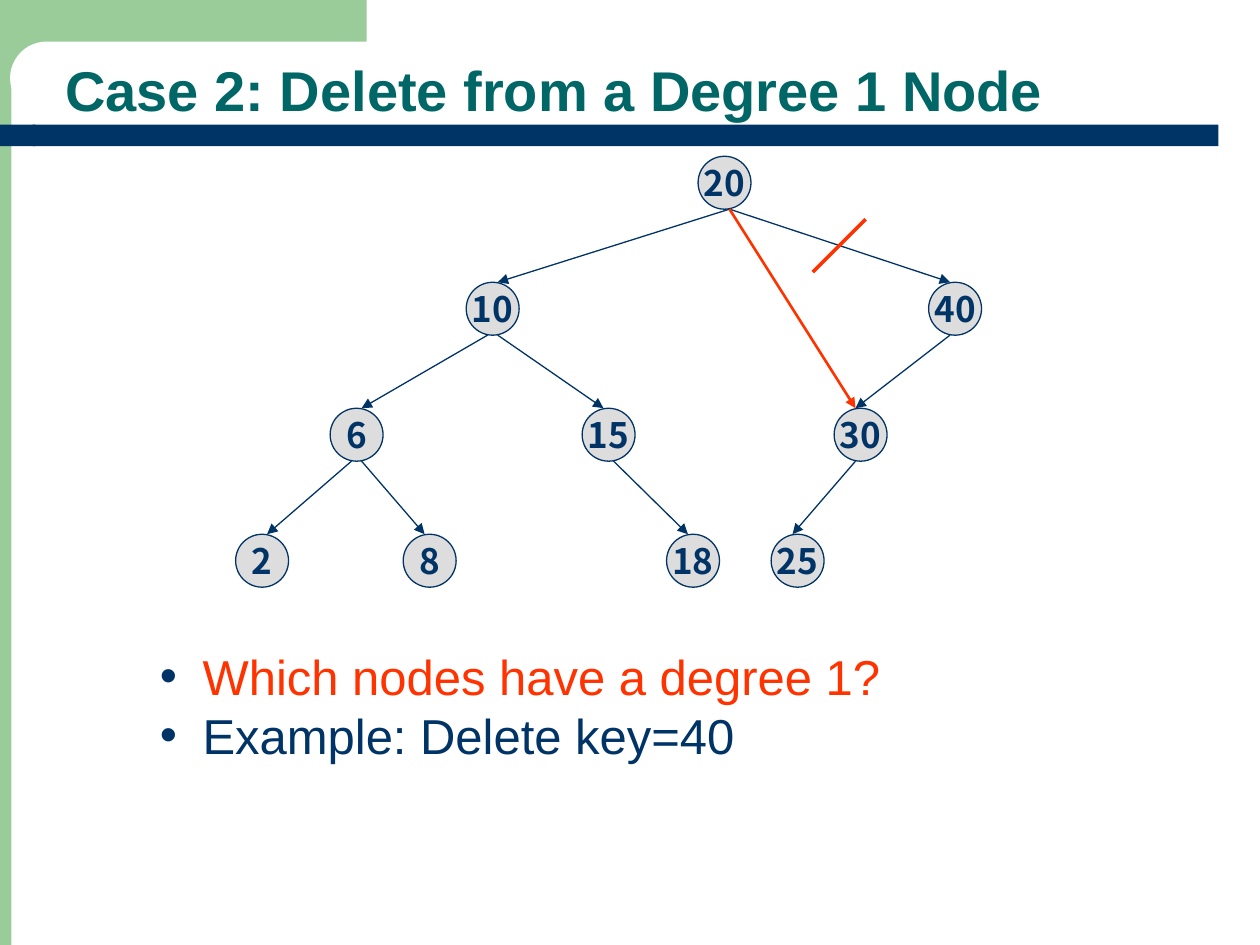
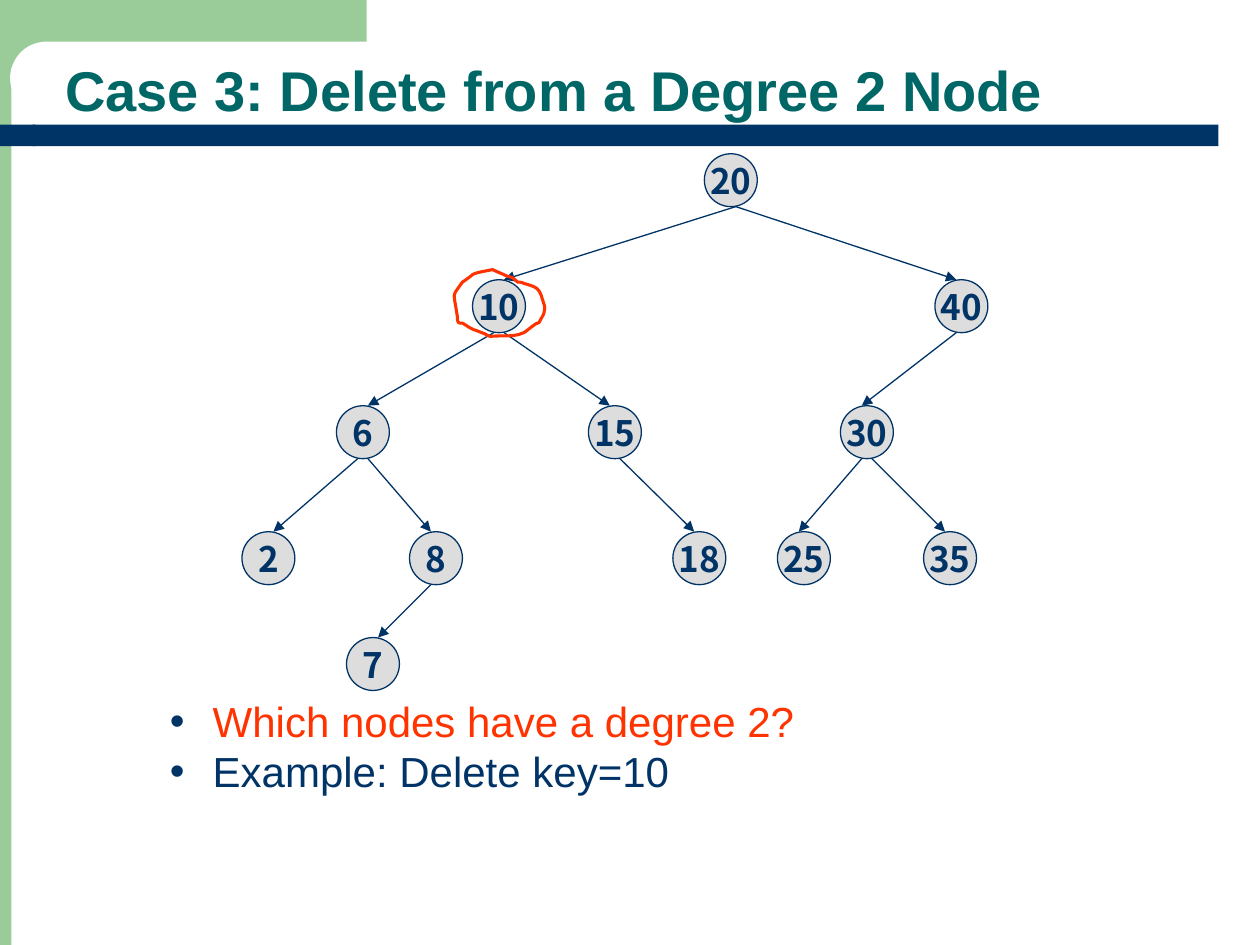
from dataclasses import dataclass
from typing import NamedTuple

import lxml.etree
import pptx
import pptx.dml.color
import pptx.enum.shapes
import pptx.enum.text
import pptx.oxml.ns
import pptx.util

EMU_PER_PX = 9144
SHAPES = pptx.enum.shapes.MSO_SHAPE
ANCHOR = pptx.enum.text.MSO_ANCHOR
ALIGN = pptx.enum.text.PP_ALIGN


@dataclass(frozen=True)
class Theme:
    navy: str = "003366"
    teal: str = "006666"
    green: str = "99CC99"
    grey: str = "DDDDDD"
    red: str = "FF3300"
    white: str = "FFFFFF"
    body_font: str = "Arial"
    node_font: str = "Noto Sans CJK KR"
    title_size: int = 32
    node_size: int = 20
    thin: float = 0.75


THEME = Theme()


class Box(NamedTuple):
    left: int
    top: int
    width: int
    height: int


class Point(NamedTuple):
    x: float
    y: float


class Band(NamedTuple):
    preset: pptx.enum.shapes.MSO_SHAPE
    box: Box
    color: str
    rounding: float | None = None
    rotation: int = 0


class Node(NamedTuple):
    key: int
    left: int
    level: int
    parent: int | None = None


@dataclass(frozen=True)
class Case:
    title: str
    question: str
    example: str
    bullet_box: Box
    bullet_size: int
    shift: Point
    extra_nodes: tuple[Node, ...] = ()


BANDS = (
    Band(SHAPES.RECTANGLE, Box(-58, 0, 67, 750), THEME.green),
    Band(SHAPES.RECTANGLE, Box(-17, 0, 308, 58), THEME.green),
    Band(SHAPES.ROUNDED_RECTANGLE, Box(8, 33, 558, 58), THEME.white, rounding=0.5),
    Band(SHAPES.ROUNDED_RECTANGLE, Box(26, 99, 941, 17), THEME.navy, rounding=0),
    Band(SHAPES.FLOWCHART_DELAY, Box(-25, 99, 53, 17), THEME.navy, rotation=180),
)
TITLE_BOX = Box(42, 36, 917, 67)
BULLET_INDENT = 34
NODE_SIZE = 42
EDGE_OFFSET = 4
LEVEL_TOPS = (124, 224, 324, 424, 508)
TREE = (
    Node(20, 554, 0),
    Node(10, 370, 1, 20),
    Node(40, 737, 1, 20),
    Node(6, 262, 2, 10),
    Node(15, 462, 2, 10),
    Node(30, 662, 2, 40),
    Node(2, 187, 3, 6),
    Node(8, 320, 3, 6),
    Node(18, 529, 3, 15),
    Node(25, 612, 3, 30),
)
DEGREE_ONE = Case(
    "Case 2: Delete from a Degree 1 Node",
    "Which nodes have a degree 1?",
    "Example: Delete key=40",
    Box(117, 508, 740, 104),
    28,
    Point(0, 0),
)
DEGREE_TWO = Case(
    "Case 3: Delete from a Degree 2 Node",
    "Which nodes have a degree 2?",
    "Example: Delete key=10",
    Box(125, 547, 740, 90),
    24,
    Point(5, -2),
    (Node(35, 728, 3, 30), Node(7, 270, 4, 8)),
)
LOOP_START = Point(391, 214)
LOOP_CURVES = (
    ((387, 215), (378, 216), (375, 218)),
    ((373, 220), (367, 224), (367, 224)),
    ((358, 237), (360, 230), (363, 251)),
    ((363, 253), (363, 255), (364, 256)),
    ((365, 257), (367, 256), (368, 257)),
    ((371, 259), (374, 261), (377, 262)),
    ((380, 263), (382, 264), (385, 265)),
    ((386, 266), (389, 267), (389, 267)),
    ((398, 266), (408, 268), (416, 264)),
    ((419, 262), (421, 260), (424, 258)),
    ((425, 257), (428, 256), (428, 256)),
    ((429, 253), (432, 250), (432, 247)),
    ((433, 244), (432, 242), (431, 239)),
    ((428, 228), (426, 228), (416, 225)),
    ((414, 224), (413, 224), (411, 224)),
    ((406, 220), (409, 221), (402, 219)),
    ((398, 217), (395, 216), (391, 214)),
)
CURVE_STEPS = 6


def emu(px: float) -> int:
    return round(px * EMU_PER_PX)


def emus(lengths: tuple[float, ...]) -> list[int]:
    return [emu(length) for length in lengths]


def rgb(color: str) -> pptx.dml.color.RGBColor:
    return pptx.dml.color.RGBColor.from_string(color)


def set_line(line, color: str, width: float) -> None:
    line.color.rgb = rgb(color)
    line.width = pptx.util.Pt(width)


def write_text(para, text: str, *, size: int, color: str, font: str = THEME.body_font,
               bold: bool = False, align: ALIGN = ALIGN.LEFT) -> None:
    para.alignment = align
    span = para.add_run()
    span.text = text
    span.font.size = pptx.util.Pt(size)
    span.font.name = font
    span.font.bold = bold
    span.font.color.rgb = rgb(color)


def add_bullet(para) -> None:
    properties = para._p.get_or_add_pPr()
    properties.set("marL", str(emu(BULLET_INDENT)))
    properties.set("indent", str(-emu(BULLET_INDENT)))
    qn = pptx.oxml.ns.qn
    bullet_color = lxml.etree.SubElement(properties, qn("a:buClr"))
    lxml.etree.SubElement(bullet_color, qn("a:srgbClr"), val=THEME.navy)
    lxml.etree.SubElement(properties, qn("a:buFont"), typeface=THEME.body_font)
    lxml.etree.SubElement(properties, qn("a:buChar"), char="•")


def add_filled(page, preset: SHAPES, box: Box, color: str):
    shape = page.shapes.add_shape(preset, *emus(box))
    shape.shadow.inherit = False
    shape.fill.solid()
    shape.fill.fore_color.rgb = rgb(color)
    shape.line.fill.background()
    return shape


def draw_line(page, start: Point, end: Point, *, color: str = THEME.navy,
              width: float = THEME.thin, arrow: bool = True) -> None:
    connector = page.shapes.add_connector(
        pptx.enum.shapes.MSO_CONNECTOR.STRAIGHT, *emus(start), *emus(end))
    set_line(connector.line, color, width)
    qn = pptx.oxml.ns.qn
    if arrow:
        outline = connector.line._get_or_add_ln()
        lxml.etree.SubElement(outline, qn("a:tailEnd"), type="triangle")
    lxml.etree.SubElement(connector._element.spPr, qn("a:effectLst"))


def draw_frame(page, title: str) -> None:
    for band in BANDS:
        shape = add_filled(page, band.preset, band.box, band.color)
        shape.rotation = band.rotation
        if band.rounding is not None:
            shape.adjustments[0] = band.rounding
    frame = page.shapes.add_textbox(*emus(TITLE_BOX)).text_frame
    frame.word_wrap = True
    frame.vertical_anchor = ANCHOR.BOTTOM
    para = frame.paragraphs[0]
    para.line_spacing = 0.9
    write_text(para, title, size=THEME.title_size, color=THEME.teal, bold=True)


def draw_bullets(page, case: Case) -> None:
    frame = page.shapes.add_textbox(*emus(case.bullet_box)).text_frame
    frame.word_wrap = True
    question, example = frame.paragraphs[0], frame.add_paragraph()
    write_text(question, case.question, size=case.bullet_size, color=THEME.red)
    write_text(example, case.example, size=case.bullet_size, color=THEME.navy)
    for para in (question, example):
        add_bullet(para)


def draw_node(page, node: Node, shift: Point) -> None:
    box = Box(node.left + shift.x, LEVEL_TOPS[node.level] + shift.y, NODE_SIZE, NODE_SIZE)
    circle = add_filled(page, SHAPES.OVAL, box, THEME.grey)
    set_line(circle.line, THEME.navy, THEME.thin)
    frame = circle.text_frame
    frame.word_wrap = False
    frame.vertical_anchor = ANCHOR.MIDDLE
    write_text(frame.paragraphs[0], str(node.key), size=THEME.node_size, color=THEME.navy,
               font=THEME.node_font, bold=True, align=ALIGN.CENTER)


def edge_ends(root: Node, parent: Node, child: Node, shift: Point) -> tuple[Point, Point]:
    goes_left = child.left < parent.left
    leave = -EDGE_OFFSET if goes_left and parent != root else EDGE_OFFSET
    enter = EDGE_OFFSET if goes_left and child.left < root.left else -EDGE_OFFSET
    middle = NODE_SIZE // 2 + shift.x
    start = Point(parent.left + middle + leave,
                  LEVEL_TOPS[parent.level] + NODE_SIZE + shift.y)
    end = Point(child.left + middle + enter, LEVEL_TOPS[child.level] + shift.y)
    return start, end


def draw_tree(page, case: Case) -> None:
    nodes = {node.key: node for node in TREE + case.extra_nodes}
    for node in nodes.values():
        draw_node(page, node, case.shift)
    for node in nodes.values():
        if node.parent is not None:
            draw_line(page, *edge_ends(TREE[0], nodes[node.parent], node, case.shift))


def draw_relink(page) -> None:
    nodes = {node.key: node for node in TREE}
    draw_line(page, Point(645, 216), Point(687, 174), color=THEME.red, width=2, arrow=False)
    start, end = edge_ends(nodes[20], nodes[20], nodes[30], Point(0, 0))
    draw_line(page, start, end, color=THEME.red, width=1.5)


def curve_point(corners: tuple, t: float) -> Point:
    weights = ((1 - t) ** 3, 3 * t * (1 - t) ** 2, 3 * t ** 2 * (1 - t), t ** 3)
    return Point(*(sum(w * c[axis] for w, c in zip(weights, corners)) for axis in (0, 1)))


def draw_loop(page) -> None:
    start, points = LOOP_START, []
    for curve in LOOP_CURVES:
        points += [curve_point((start, *curve), step / CURVE_STEPS)
                   for step in range(1, CURVE_STEPS + 1)]
        start = curve[-1]
    builder = page.shapes.build_freeform(*emus(LOOP_START))
    builder.add_line_segments([tuple(emus(point)) for point in points], close=True)
    loop = builder.convert_to_shape()
    loop.shadow.inherit = False
    loop.fill.background()
    set_line(loop.line, THEME.red, 1.75)


def main() -> None:
    deck = pptx.Presentation()
    deck.slide_width, deck.slide_height = emus((1000, 750))
    for case, draw_mark in ((DEGREE_ONE, draw_relink), (DEGREE_TWO, draw_loop)):
        page = deck.slides.add_slide(deck.slide_layouts[6])
        draw_frame(page, case.title)
        draw_tree(page, case)
        draw_mark(page)
        draw_bullets(page, case)
    deck.save("out.pptx")


if __name__ == "__main__":
    main()
